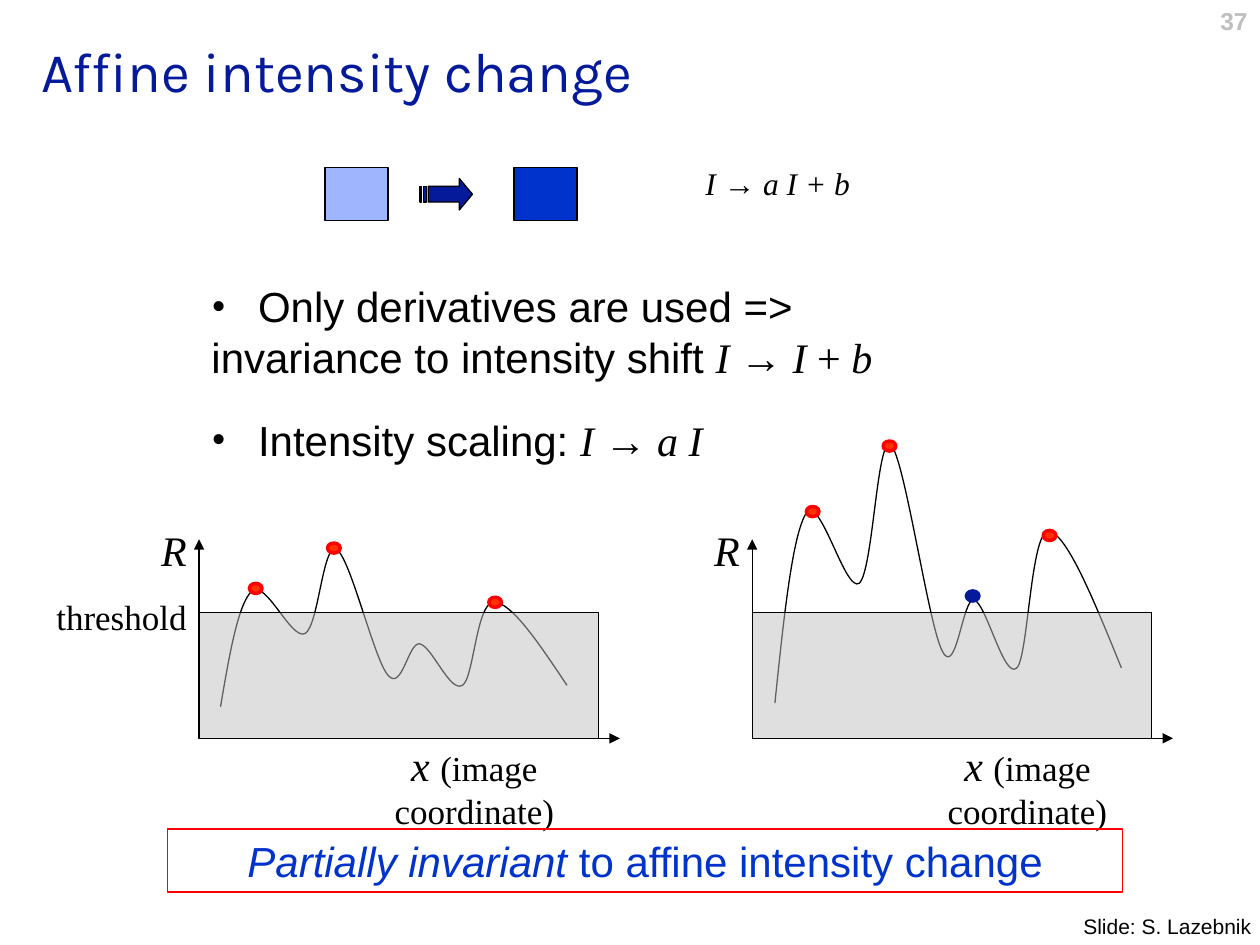
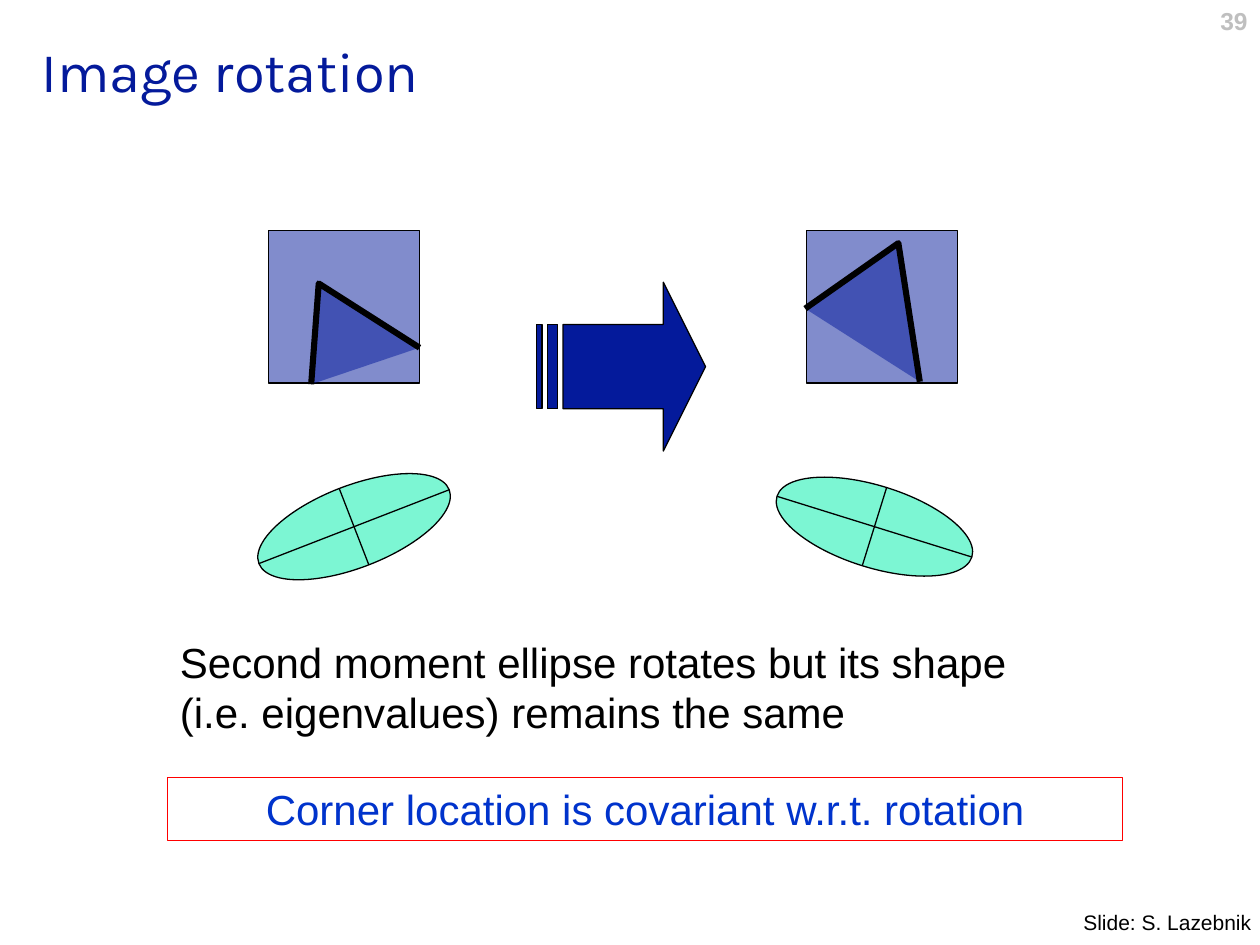
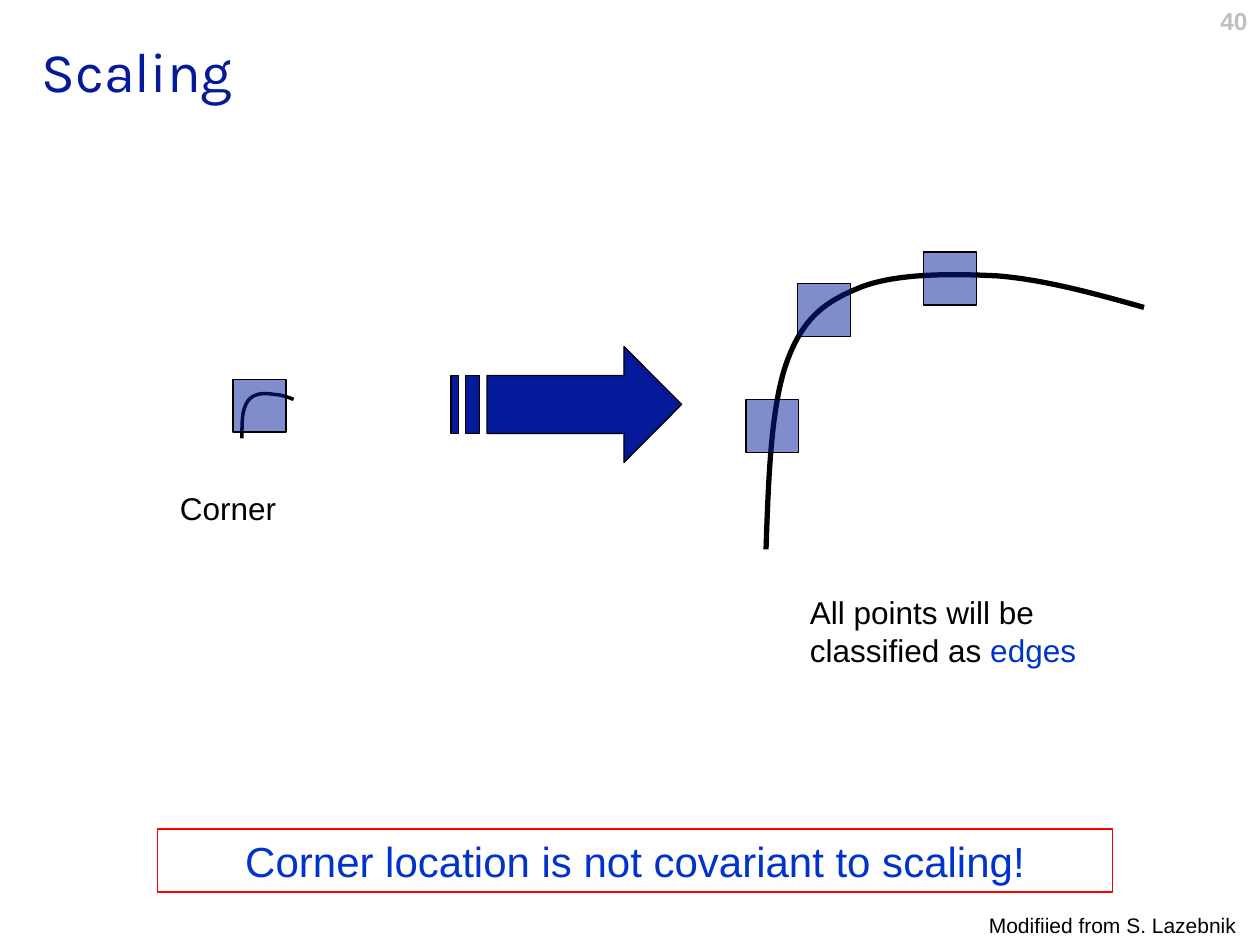
import math
from dataclasses import dataclass
from typing import Optional

from lxml import etree
from pptx import Presentation
from pptx import util as u
from pptx.dml import color
from pptx.enum import shapes, text
from pptx.oxml import ns

NAVY, BLUE, PALE_BLUE = "041A9B", "0033CC", "9FB6FF"
BLACK, GREY, SILVER = "000000", "BFBFBF", "C0C0C0"
RED, ORANGE, MINT = "FF0000", "FF3300", "7CF6D3"
SANS, SERIF, TITLE_FONT = "Arial", "Times New Roman", "Karla"
LEFT, CENTER, RIGHT = text.PP_ALIGN.LEFT, text.PP_ALIGN.CENTER, text.PP_ALIGN.RIGHT
RECTANGLE, OVAL = shapes.MSO_SHAPE.RECTANGLE, shapes.MSO_SHAPE.OVAL

Point = tuple[float, float]


@dataclass(frozen=True)
class Span:
    words: str
    size: float = 24
    font: str = SANS
    color: str = BLACK
    bold: bool = False
    italic: bool = False


@dataclass(frozen=True)
class Area:
    left: float
    top: float
    width: float
    height: float

    def lengths(self) -> list[u.Length]:
        return [u.Inches(n) for n in (self.left, self.top, self.width, self.height)]


@dataclass(frozen=True)
class Look:
    fill: Optional[str] = None
    line: str = BLACK
    weight: float = 0.75
    alpha: int = 100


@dataclass(frozen=True)
class Plot:
    left: float
    curve_left: float
    curve_base: float
    gain: float
    peaks: list[Point]
    weak_peaks: list[Point]


WINDOW = Look(NAVY, alpha=50)
WEDGE = Look(NAVY, weight=3.5, alpha=50)
PEAK = Look(ORANGE, RED, 2)
WEAK_PEAK = Look(NAVY, NAVY, 2)

RESPONSE = [
    (0, 0), (0.07, 0.41), (0.14, 0.82), (0.25, 0.92),
    (0.36, 1.01), (0.56, 0.53), (0.67, 0.58),
    (0.78, 0.64), (0.81, 1.3), (0.92, 1.25),
    (1.03, 1.19), (1.22, 0.37), (1.33, 0.25),
    (1.44, 0.12), (1.49, 0.51), (1.58, 0.5),
    (1.68, 0.48), (1.82, 0.11), (1.92, 0.17),
    (2.01, 0.22), (2.03, 0.83), (2.17, 0.83),
    (2.31, 0.83), (2.53, 0.5), (2.75, 0.17),
]
PLOTS = [
    Plot(1.58, 1.75, 5.61, 1, [(1.98, 4.63), (2.6, 4.31), (3.88, 4.74)], []),
    Plot(5.97, 6.15, 5.58, 1.64, [(6.4, 4.02), (7.01, 3.5), (8.28, 4.21)],
         [(7.67, 4.69)]),
]
CONTOUR = [
    (6.08, 4.36), (6.1, 3.78), (6.12, 3.21), (6.25, 2.86),
    (6.38, 2.51), (6.56, 2.39), (6.83, 2.28),
    (7.11, 2.17), (7.54, 2.17), (7.92, 2.19),
    (8.29, 2.22), (8.69, 2.33), (9.08, 2.44),
]
SMALL_CONTOUR = [
    (1.92, 3.48), (1.92, 3.39), (1.92, 3.29), (1.94, 3.24),
    (1.96, 3.18), (1.98, 3.16), (2.02, 3.14),
    (2.06, 3.12), (2.12, 3.12), (2.17, 3.13),
    (2.22, 3.13), (2.28, 3.15), (2.33, 3.17),
]


def rgb(value: str) -> color.RGBColor:
    return color.RGBColor.from_string(value)


def add_child(parent, tag: str, **attributes: str):
    return etree.SubElement(parent, ns.qn(tag), attributes)


def style(shape, look: Look) -> None:
    shape.shadow.inherit = False
    if look.fill:
        shape.fill.solid()
        shape.fill.fore_color.rgb = rgb(look.fill)
        if look.alpha < 100:
            tint = shape.element.spPr.find(ns.qn("a:solidFill"))[0]
            add_child(tint, "a:alpha", val=str(look.alpha * 1000))
    else:
        shape.fill.background()
    shape.line.color.rgb = rgb(look.line)
    shape.line.width = u.Pt(look.weight)


def write(paragraph, spans: list[Span], align=LEFT) -> None:
    paragraph.alignment = align
    for span in spans:
        run = paragraph.add_run()
        run.text = span.words
        run.font.size = u.Pt(span.size)
        run.font.name = span.font
        run.font.color.rgb = rgb(span.color)
        run.font.bold = span.bold
        run.font.italic = span.italic


def add_text(page, area: Area, spans: list[Span], align=LEFT, wrap: bool = True,
             side_margin: float = 0.1):
    box = page.shapes.add_textbox(*area.lengths())
    frame = box.text_frame
    frame.word_wrap = wrap
    frame.margin_left = frame.margin_right = u.Inches(side_margin)
    write(frame.paragraphs[0], spans, align)
    return box


def add_bullet(page, area: Area, spans: list[Span]) -> None:
    box = add_text(page, area, spans)
    properties = box.text_frame.paragraphs[0]._p.get_or_add_pPr()
    properties.set("marL", "0")
    properties.set("indent", "0")
    add_child(properties, "a:buFont", typeface=SERIF)
    add_child(properties, "a:buChar", char="•")
    stops = add_child(properties, "a:tabLst")
    add_child(stops, "a:tab", pos=str(u.Inches(0.37)), algn="l")


def add_preset(page, kind, area: Area, look: Look, rotation: float = 0):
    shape = page.shapes.add_shape(kind, *area.lengths())
    shape.rotation = rotation
    style(shape, look)
    return shape


def add_line(page, start: Point, end: Point, arrow: bool = False) -> None:
    line = page.shapes.add_connector(
        shapes.MSO_CONNECTOR.STRAIGHT, *[u.Inches(n) for n in start + end])
    line.line.color.rgb = rgb(BLACK)
    line.line.width = u.Pt(0.75)
    if arrow:
        add_child(line.element.spPr.find(ns.qn("a:ln")), "a:tailEnd", type="triangle")
    add_child(line.element.spPr, "a:effectLst")


def add_outline(page, contours: list[list[Point]], look: Look, closed: bool = False):
    scaled = [[(u.Inches(x), u.Inches(y)) for x, y in contour] for contour in contours]
    builder = page.shapes.build_freeform(*scaled[0][0])
    for index, contour in enumerate(scaled):
        if index:
            builder.move_to(*contour[0])
        builder.add_line_segments(contour[1:], close=closed)
    shape = builder.convert_to_shape()
    style(shape, look)
    return shape


def add_curve(page, controls: list[Point], weight: float) -> None:
    shape = add_outline(page, [controls], Look(weight=weight))
    segments = list(shape.element.spPr.iter(ns.qn("a:lnTo")))
    outline = segments[0].getparent()
    for first in range(0, len(segments), 3):
        bend = add_child(outline, "a:cubicBezTo")
        for segment in segments[first:first + 3]:
            bend.append(segment[0])
            outline.remove(segment)


def add_striped_arrow(page, area: Area) -> None:
    def place(x: float, y: float) -> Point:
        return area.left + x * area.width, area.top + y * area.height

    head = [(0.75, 0), (0.75, 0.25), (5 / 32, 0.25), (5 / 32, 0.75),
            (0.75, 0.75), (0.75, 1), (1, 0.5)]
    stripes = [[(a, 0.25), (a, 0.75), (b, 0.75), (b, 0.25)]
               for a, b in ((2 / 32, 4 / 32), (0, 1 / 32))]
    contours = [[place(x, y) for x, y in contour] for contour in [head, *stripes]]
    add_outline(page, contours, Look(NAVY), closed=True)


def add_moment_ellipse(page, center: Point, degrees: float) -> None:
    width, height = 1.62, 0.65
    x, y = center
    add_preset(page, OVAL, Area(x - width / 2, y - height / 2, width, height),
               Look(MINT), degrees)
    for length, turn in ((width, 0), (height, 90)):
        angle = math.radians(degrees + turn)
        dx, dy = length / 2 * math.cos(angle), length / 2 * math.sin(angle)
        add_line(page, (x - dx, y - dy), (x + dx, y + dy))


def add_window(page, left: float, top: float) -> None:
    add_preset(page, RECTANGLE, Area(left, top, 0.42, 0.42), WINDOW)


def add_result(page, left: float, top: float, spans: list[Span]) -> None:
    box = add_preset(page, RECTANGLE, Area(left, top, 7.58, 0.5), Look(line=RED))
    box.text_frame.word_wrap = True
    write(box.text_frame.paragraphs[0], spans, CENTER)


def add_credit(page, left: float, top: float, words: str) -> None:
    add_text(page, Area(left, top, 3.33, 0.3), [Span(words, 12)])


def add_page(deck, number: int, title: str):
    page = deck.slides.add_slide(deck.slide_layouts[6])
    add_text(page, Area(7.67, 0, 2.33, 0.4),
             [Span(str(number), 14, color=GREY, bold=True)], RIGHT)
    heading = add_text(page, Area(0.23, 0.18, 9.54, 0.76),
                       [Span(title, 32, TITLE_FONT, NAVY)])
    heading.text_frame.vertical_anchor = text.MSO_ANCHOR.MIDDLE
    return page


def math_spans(*parts: str, size: float = 24) -> list[Span]:
    return [Span(part, size, SERIF, italic=index % 2 == 0)
            for index, part in enumerate(parts)]


def add_plot(page, plot: Plot) -> None:
    base, level = 5.86, 4.86
    origin = (plot.left, base)
    add_curve(page, [(plot.curve_left + x, plot.curve_base - plot.gain * y)
                     for x, y in RESPONSE], 0.75)
    add_line(page, origin, (plot.left + 3.34, base), arrow=True)
    add_line(page, origin, (plot.left, 4.28), arrow=True)
    add_text(page, Area(plot.left - 0.4, 4.11, 0.4, 0.5), math_spans("R"), CENTER, False)
    add_text(page, Area(plot.left + 0.92, 5.82, 2.53, 0.5),
             [Span("x ", 24, SERIF, italic=True), Span("(image coordinate)", 20, SERIF)],
             CENTER, side_margin=0.5)
    add_preset(page, RECTANGLE, Area(plot.left, level, 3.17, base - level),
               Look(SILVER, alpha=50))
    for peaks, look in ((plot.peaks, PEAK), (plot.weak_peaks, WEAK_PEAK)):
        for left, top in peaks:
            add_preset(page, OVAL, Area(left, top, 0.1, 0.08), look)


def build_intensity(deck) -> None:
    page = add_page(deck, 37, "Affine intensity change")
    add_bullet(page, Area(1.58, 2.18, 6.08, 0.91),
               [Span("\tOnly derivatives are used => invariance to intensity shift "),
                *math_spans("I ", "→ ", "I ", "+ ", "b")])
    add_bullet(page, Area(1.58, 3.24, 5.67, 0.5),
               [Span("\tIntensity scaling: "), *math_spans("I ", "→ ", "a I")])
    for plot in PLOTS:
        add_plot(page, plot)
    add_text(page, Area(0.35, 4.68, 1.23, 0.43), [Span("threshold", 20, SERIF)],
             CENTER, False, side_margin=0.05)
    add_result(page, 1.33, 6.58,
               [Span("Partially invariant ", color=BLUE, italic=True),
                Span("to affine intensity change", color=BLUE)])
    add_text(page, Area(5.5, 1.25, 2.02, 0.57),
             math_spans("I ", "→ ", "a I + b", size=18))
    for left, fill in ((4.08, BLUE), (2.58, PALE_BLUE)):
        add_preset(page, RECTANGLE, Area(left, 1.33, 0.5, 0.42), Look(fill))
    add_striped_arrow(page, Area(10 / 3, 17 / 12, 5 / 12, 0.25))
    add_credit(page, 8.5, 7.2, "Slide: S. Lazebnik")


def build_rotation(deck) -> None:
    page = add_page(deck, 39, "Image rotation")
    add_text(page, Area(1.33, 5, 7.33, 0.91),
             [Span("Second moment ellipse rotates but its shape "
                   "(i.e. eigenvalues) remains the same")])
    corners = [
        (2.13, [(2.47, 3.05), (2.53, 2.25), (3.33, 2.76)]),
        (6.4, [(6.39, 2.45), (7.13, 1.93), (7.3, 3.03)]),
    ]
    for left, wedge in corners:
        add_preset(page, RECTANGLE, Area(left, 1.83, 1.2, 1.21), WINDOW)
        add_outline(page, [wedge], WEDGE)
    add_striped_arrow(page, Area(4.26, 2.24, 1.34, 1.34))
    add_moment_ellipse(page, (2.81, 4.18), -21.2)
    add_moment_ellipse(page, (6.94, 4.18), 17.3)
    add_result(page, 1.33, 6.17,
               [Span("Corner location is covariant w.r.t. rotation", color=BLUE)])
    add_credit(page, 8.5, 7.17, "Slide: S. Lazebnik")


def build_scaling(deck) -> None:
    page = add_page(deck, 40, "Scaling")
    add_text(page, Area(6.33, 4.66, 2.83, 1.5),
             [Span("All points will be classified as ", 18),
              Span("edges", 18, color=BLUE)])
    add_curve(page, SMALL_CONTOUR, 2)
    add_window(page, 1.85, 3.01)
    add_text(page, Area(1.33, 3.83, 1.75, 0.57), [Span("Corner", 18)])
    add_result(page, 1.25, 6.58,
               [Span("Corner location is not covariant to scaling!", color=BLUE)])
    add_curve(page, CONTOUR, 3)
    add_striped_arrow(page, Area(3.58, 2.75, 1.83, 0.92))
    for left, top in ((7.33, 2), (6.33, 2.25), (5.92, 3.17)):
        add_window(page, left, top)
    add_credit(page, 7.75, 7.19, "Modifiied from S. Lazebnik")


def main() -> None:
    deck = Presentation()
    deck.slide_width, deck.slide_height = u.Inches(10), u.Inches(7.5)
    build_intensity(deck)
    build_rotation(deck)
    build_scaling(deck)
    deck.save("out.pptx")


if __name__ == "__main__":
    main()
